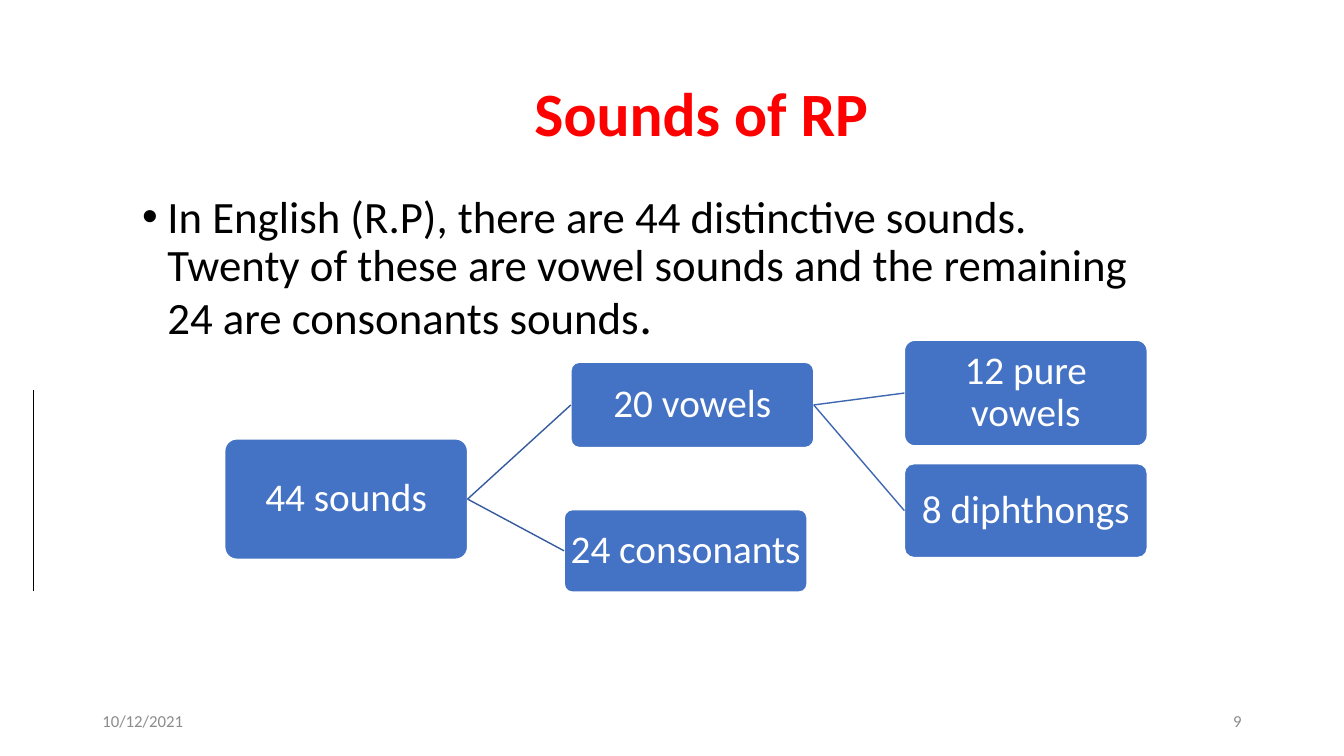
from dataclasses import dataclass

from lxml.etree import SubElement
from pptx import Presentation
from pptx.dml.color import RGBColor as Rgb
from pptx.enum.shapes import MSO_CONNECTOR as Link, MSO_SHAPE as Preset
from pptx.enum.text import MSO_ANCHOR as Anchor, MSO_AUTO_SIZE as AutoSize, PP_ALIGN as Align
from pptx.oxml.ns import qn
from pptx.util import Pt

TOP_SIDE, LEFT_SIDE, BOTTOM_SIDE, RIGHT_SIDE = range(4)


@dataclass(frozen=True)
class Theme:
    font: str = "Calibri"
    black: str = "000000"
    white: str = "FFFFFF"
    red: str = "FF0000"
    blue: str = "4472C4"
    first_branch: str = "365B9D"
    second_branch: str = "3E67B2"
    grey: str = "8C8C8C"
    title_size: float = 44
    body_size: float = 32
    stop_size: float = 36
    node_size: float = 28
    footer_size: float = 12


def apply_format(target, values):
    for name, value in values.items():
        setattr(target, name, value)


class SlideBuilder:
    def __init__(self, page, theme):
        self.page = page
        self.theme = theme

    def frame(self, shape, anchor, **margins):
        text_frame = shape.text_frame
        apply_format(text_frame, {"word_wrap": True, "auto_size": AutoSize.NONE,
                                  "vertical_anchor": anchor})
        apply_format(text_frame, {f"margin_{side}": Pt(size) for side, size in margins.items()})
        return text_frame.paragraphs[0]

    def span(self, para, text, size, color, bold=False):
        span = para.add_run()
        span.text = text
        apply_format(span.font, {"name": self.theme.font, "size": Pt(size), "bold": bold})
        span.font.color.rgb = Rgb.from_string(color)

    def title(self, text, left, top, width, height, indent):
        box = self.page.shapes.title
        apply_format(box, {"left": Pt(left), "top": Pt(top),
                           "width": Pt(width), "height": Pt(height)})
        para = self.frame(box, Anchor.MIDDLE, left=indent)
        apply_format(para, {"alignment": Align.CENTER, "line_spacing": 0.9})
        self.span(para, text, self.theme.title_size, self.theme.red, bold=True)

    def text_box(self, left, top, width, height, anchor):
        box = self.page.shapes.add_textbox(Pt(left), Pt(top), Pt(width), Pt(height))
        return self.frame(box, anchor)

    def bullet(self, spans, left, top, width, height, hang=18):
        para = self.text_box(left, top, width, height, Anchor.TOP)
        apply_format(para, {"line_spacing": 0.9, "space_before": Pt(10)})
        for text, size in spans:
            self.span(para, text, size, self.theme.black)
        properties = para._p.get_or_add_pPr()
        properties.set("marL", str(Pt(hang)))
        properties.set("indent", str(-Pt(hang)))
        SubElement(properties, qn("a:buFont"), typeface="Arial")
        SubElement(properties, qn("a:buChar"), char="•")

    def footer(self, text, left, align):
        para = self.text_box(left, 500.5, 216, 28.75, Anchor.MIDDLE)
        para.alignment = align
        self.span(para, text, self.theme.footer_size, self.theme.grey)

    def node(self, text, left, top, height, width=173.5):
        box = self.page.shapes.add_shape(
            Preset.ROUNDED_RECTANGLE, Pt(left), Pt(top), Pt(width), Pt(height))
        box.adjustments[0] = 0.1
        box.shadow.inherit = False
        box.fill.solid()
        box.fill.fore_color.rgb = Rgb.from_string(self.theme.blue)
        box.line.color.rgb = Rgb.from_string(self.theme.white)
        box.line.width = Pt(1)
        para = self.frame(box, Anchor.MIDDLE, left=1.5, right=1.5, top=1.5, bottom=1.5)
        apply_format(para, {"alignment": Align.CENTER, "line_spacing": 0.9})
        self.span(para, text, self.theme.node_size, self.theme.white)
        return box

    def line(self, color, width, left=0, top=0, right=0, bottom=0):
        line = self.page.shapes.add_connector(
            Link.STRAIGHT, Pt(left), Pt(top), Pt(right), Pt(bottom))
        line.line.color.rgb = Rgb.from_string(color)
        line.line.width = Pt(width)
        SubElement(line._element.spPr, qn("a:effectLst"))
        return line

    def branch(self, parent, child, color):
        line = self.line(color, 1)
        line.begin_connect(parent, RIGHT_SIDE)
        line.end_connect(child, LEFT_SIDE)


def main():
    deck = Presentation()
    deck.slide_width, deck.slide_height = Pt(960), Pt(540)
    theme = Theme()
    title_only = deck.slide_layouts[5]
    slide = SlideBuilder(deck.slides.add_slide(title_only), theme)

    slide.footer("10/12/2021", 66, Align.LEFT)
    slide.footer("9", 678, Align.RIGHT)
    slide.title("Sounds of RP", 87, 42, 729.5, 83, indent=106)
    slide.bullet(
        [("In English (R.P), there are 44 distinctive sounds. Twenty of these are "
          "vowel sounds and the remaining 24 are consonants sounds", theme.body_size),
         (".", theme.stop_size)],
        94.5, 135.5, 730, 384.5)
    slide.line(theme.black, 0.75, 24, 278.5, 24, 422.5)

    sounds = slide.node("44 sounds", 160.5, 313.5, 86)
    vowels = slide.node("20 vowels", 407.75, 258.75, 61)
    consonants = slide.node("24 consonants", 403, 364, 59)
    pure_vowels = slide.node("12 pure vowels", 646, 243, 75.5)
    diphthongs = slide.node("8 diphthongs", 646, 331.25, 67)

    for parent, children, color in (
            (sounds, (vowels, consonants), theme.first_branch),
            (vowels, (pure_vowels, diphthongs), theme.second_branch)):
        for child in children:
            slide.branch(parent, child, color)

    deck.save("out.pptx")


if __name__ == "__main__":
    main()
